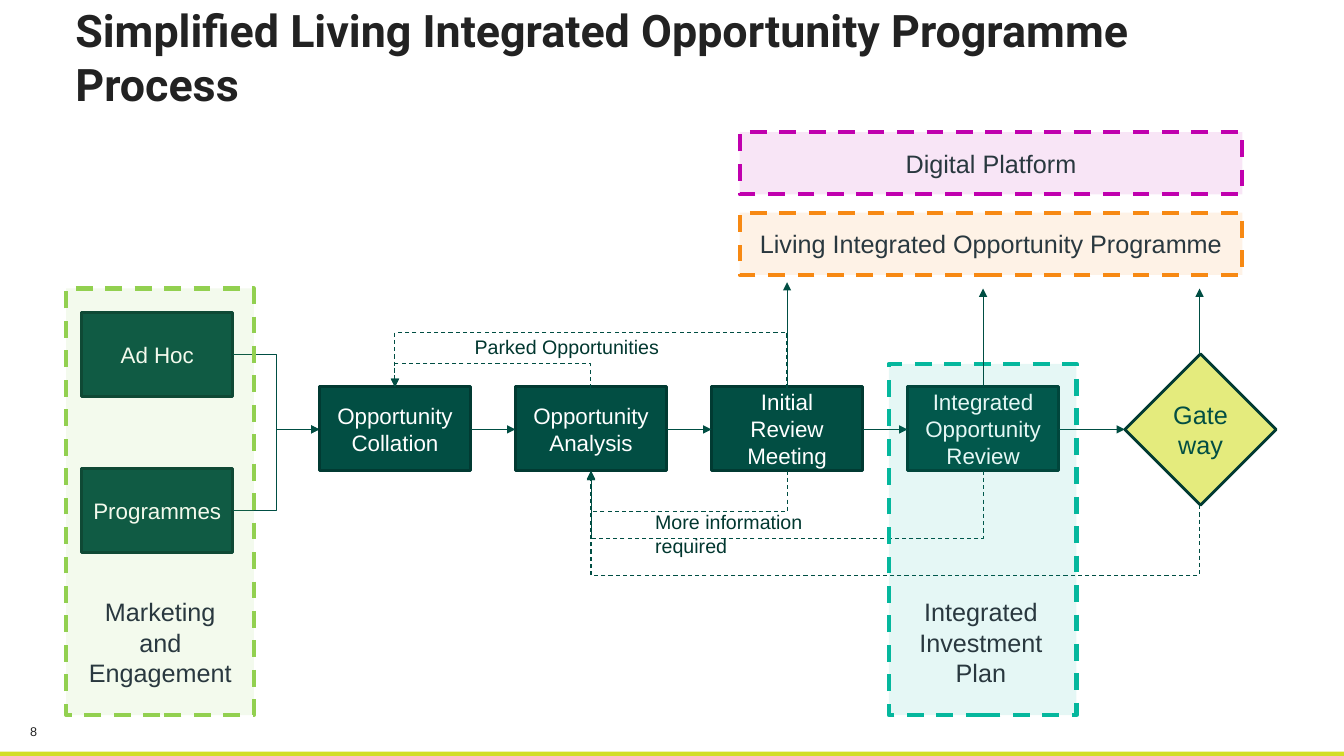
from lxml import etree
from pptx import Presentation
from pptx.dml.color import RGBColor
from pptx.enum.dml import MSO_LINE
from pptx.enum.shapes import MSO_CONNECTOR, MSO_SHAPE
from pptx.enum.text import MSO_ANCHOR, PP_ALIGN
from pptx.oxml.ns import qn
from pptx.util import Cm, Pt

RECT, GATE = MSO_SHAPE.RECTANGLE, MSO_SHAPE.DIAMOND
DIRECT, ELBOW = MSO_CONNECTOR.STRAIGHT, MSO_CONNECTOR.ELBOW
DASH = MSO_LINE.DASH
LEFT, CENTER = PP_ALIGN.LEFT, PP_ALIGN.CENTER
TOP, MIDDLE, BOTTOM = MSO_ANCHOR.TOP, MSO_ANCHOR.MIDDLE, MSO_ANCHOR.BOTTOM

GREEN, EDGE, INK, SLATE = "024E43", "013A32", "222222", "29383F"
BOX_W, BOX_H = 3.81, 2.11
STEP_X, STEP_Y, PITCH = 8.05, 9.75, 4.94
MID_Y = 10.82
GATE_X, GATE_Y, GATE_MID = 28.35, 8.92, 30.23


def paint(color, code):
    """Set a colour format from a hex string."""
    color.rgb = RGBColor.from_string(code)


def write(shape, text, size, code, align=CENTER, anchor=MIDDLE, font="Arial", bold=False):
    """Fill a shape with one formatted paragraph."""
    frame = shape.text_frame
    frame.word_wrap = True
    frame.vertical_anchor = anchor
    frame.text = text
    line = frame.paragraphs[0]
    line.alignment = align
    for run in line.runs:
        run.font.size = Pt(size)
        run.font.name = font
        run.font.bold = bold
        paint(run.font.color, code)


def label(slide, place, text, size, code, **style):
    """Add a free text box."""
    box = slide.shapes.add_textbox(*map(Cm, place))
    write(box, text, size, code, **style)
    return box


def block(slide, place, fill, kind=RECT):
    """Add a plain filled shape without a line."""
    shape = slide.shapes.add_shape(kind, *map(Cm, place))
    shape.shadow.inherit = False
    shape.fill.solid()
    paint(shape.fill.fore_color, fill)
    shape.line.fill.background()
    return shape


def node(slide, place, text, fill=GREEN, code="FFFFFF", size=16, kind=RECT):
    """Add an outlined process step."""
    shape = block(slide, place, fill, kind)
    paint(shape.line.color, EDGE)
    shape.line.width = Pt(2)
    write(shape, text, size, code)


def zone(slide, place, code, text=""):
    """Add a dashed frame with a pale tint."""
    shape = block(slide, place, code)
    tint = shape.fill._xPr.find(qn("a:solidFill"))[0]
    etree.SubElement(tint, qn("a:alpha")).set("val", "10000")
    paint(shape.line.color, code)
    shape.line.width = Pt(3)
    shape.line.dash_style = DASH
    if text:
        write(shape, text, 18, SLATE)


def arrow(slide, start, end, kind=DIRECT):
    """Add a thin connector with an arrowhead at its end."""
    link = slide.shapes.add_connector(kind, *map(Cm, start + end))
    paint(link.line.color, "004E43")
    link.line.width = Pt(0.75)
    props = link._element.spPr
    tail = etree.SubElement(props.find(qn("a:ln")), qn("a:tailEnd"))
    tail.set("type", "triangle")
    etree.SubElement(props, qn("a:effectLst"))
    return link


def loop(slide, start, end, turn):
    """Add a dashed return arrow that runs level at height turn."""
    (x1, y1), (x2, y2) = start, end
    rise, span = y2 - y1, x1 - x2
    link = arrow(slide, start, end, ELBOW)
    link.line.dash_style = DASH
    link.width, link.height = Cm(abs(rise)), Cm(span)
    link.left = Cm((x1 + x2 - abs(rise)) / 2)
    link.top = Cm((y1 + y2 - span) / 2)
    props = link._element.spPr
    frame = props.find(qn("a:xfrm"))
    frame.set("rot", "5400000")
    frame.set("flipH", "1" if rise < 0 else "0")
    frame.set("flipV", "0")
    guide = etree.SubElement(props.find(qn("a:prstGeom")).find(qn("a:avLst")), qn("a:gd"))
    guide.set("name", "adj1")
    guide.set("fmla", f"val {round((turn - y1) / rise * 100000)}")


def main():
    """Build the process slide."""
    deck = Presentation()
    deck.slide_width, deck.slide_height = Cm(33.87), Cm(19.05)
    slide = deck.slides.add_slide(deck.slide_layouts[6])

    page = label(slide, (0.43, 17.78, 0.84, 0.84), "8", 9, INK, anchor=BOTTOM)
    frame = page.text_frame
    frame.margin_left = frame.margin_right = frame.margin_top = frame.margin_bottom = 0
    label(slide, (1.65, 0.58, 29.64, 1.7),
          "Simplified Living Integrated Opportunity Programme Process",
          32, INK, align=LEFT, font="Roboto", bold=True)

    for text, top in (("Ad Hoc", 7.88), ("Programmes", 11.81)):
        node(slide, (2.06, top, BOX_W, BOX_H), text)
        arrow(slide, (2.06 + BOX_W, top + BOX_H / 2), (STEP_X, MID_Y), ELBOW)
    steps = ("Opportunity Collation", "Opportunity Analysis",
             "Initial Review Meeting", "Integrated Opportunity Review")
    lefts = [STEP_X + i * PITCH for i in range(len(steps))]
    for left, text in zip(lefts, steps):
        node(slide, (left, STEP_Y, BOX_W, BOX_H), text)
    node(slide, (GATE_X, GATE_Y, BOX_W, BOX_W), "Gateway", "E4EB7D", GREEN, 18, GATE)
    zone(slide, (1.67, 7.27, 4.73, 10.75), "92D050")
    for left, goal in zip(lefts, lefts[1:] + [GATE_X]):
        arrow(slide, (left + BOX_W, MID_Y), (goal, MID_Y))

    first, second, third, fourth = [left + BOX_W / 2 for left in lefts]
    base = STEP_Y + BOX_H
    for start, turn in ((second, 9.17), (third, 8.38)):
        loop(slide, (start, STEP_Y + 0.03), (first, STEP_Y), turn)
    for start, turn in ((third, 12.9), (fourth, 13.56)):
        loop(slide, (start, base), (second, base + 0.03), turn)
    loop(slide, (GATE_MID, GATE_Y + BOX_W), (second, base), 14.5)
    label(slide, (11.71, 8.31, 5.46, 0.86), "Parked Opportunities",
          14, "01372F", align=LEFT, anchor=TOP)
    label(slide, (16.26, 12.73, 6.15, 0.86), "More information required",
          14, "01372F", align=LEFT, anchor=TOP)

    zone(slide, (22.4, 9.17, 4.73, 8.85), "05B79D")
    zone(slide, (18.64, 5.36, 12.67, 1.57), "F78913",
         "Living Integrated Opportunity Programme")
    for x, start, end in ((third, STEP_Y, 7.11), (fourth, STEP_Y, 7.27),
                          (GATE_MID, GATE_Y, 7.27)):
        arrow(slide, (x, start), (x, end))
    zone(slide, (18.64, 3.33, 12.67, 1.57), "C000AE", "Digital Platform")
    for left, text in ((1.88, "Marketing and Engagement"),
                       (22.56, "Integrated Investment Plan")):
        label(slide, (left, 14.91, 4.32, 2.57), text, 18, SLATE, anchor=TOP)
    block(slide, (0, 18.94, 33.87, 0.12), "D2DE26")
    deck.save("out.pptx")


if __name__ == "__main__":
    main()
